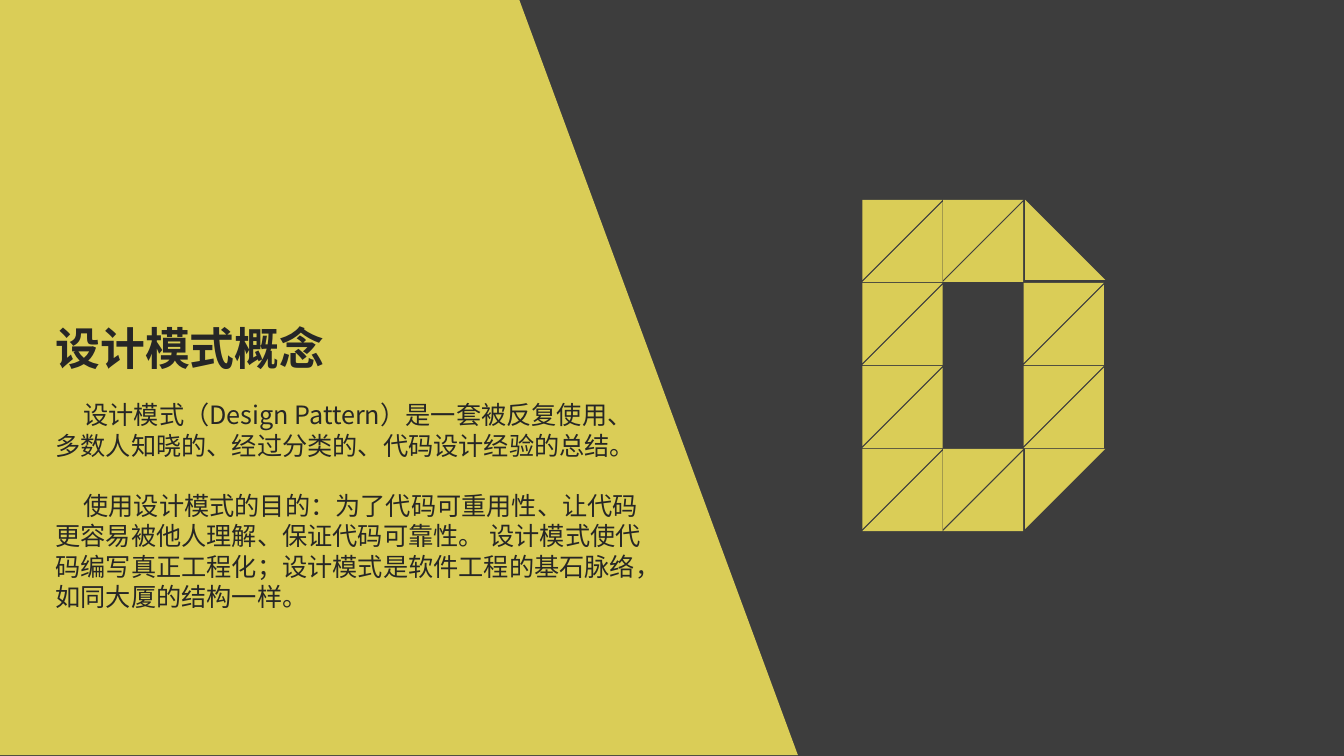
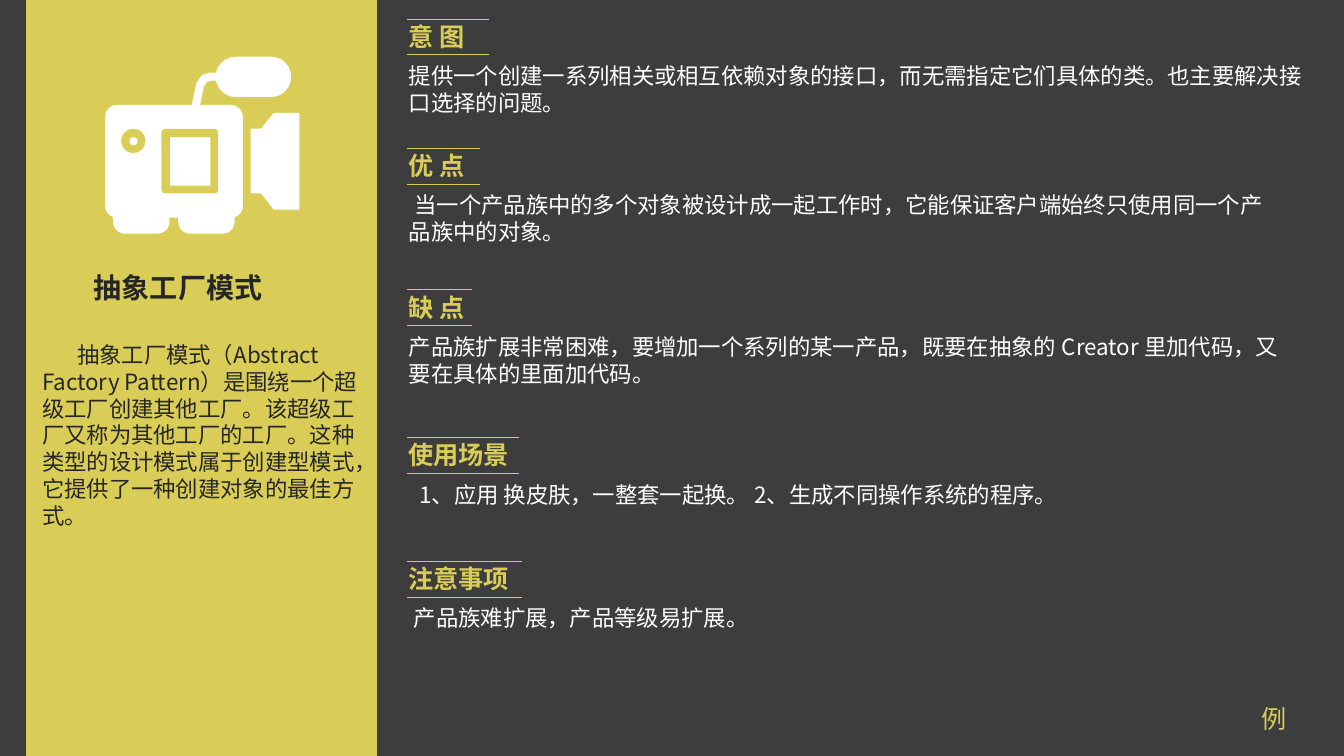
import pptx
import pptx.util
import pptx.dml.color
import pptx.enum.shapes
import pptx.oxml
import pptx.oxml.ns

Pt = pptx.util.Pt
SHAPE = pptx.enum.shapes.MSO_SHAPE
COLORS = {"back": "3D3D3D", "accent": "DACD57", "ink": "262626", "white": "FFFFFF"}
FONT = "Noto Sans CJK SC"
FONT_KR = "Noto Sans CJK KR"
LEADING = 1.2  # line height as a multiple of the text size

# Heading top, heading, rule width, body width, first-line indent, body
SECTIONS = [
    (11.5, "意 图", 58, 655, 0,
     "提供一个创建一系列相关或相互依赖对象的接口，而无需指定它们具体的类。也主要解决接口选择的问题。"),
    (104, "优 点", 52, 640, 4,
     "当一个产品族中的多个对象被设计成一起工作时，它能保证客户端始终只使用同一个产品族中的对象。"),
    (205, "缺 点", 46, 640, 0,
     "产品族扩展非常困难，要增加一个系列的某一产品，既要在抽象的 Creator 里加代码，又要在具体的里面加代码。"),
    (310.5, "使用场景", 80, 634, 7.5,
     "1、应用 换皮肤，一整套一起换。 2、生成不同操作系统的程序。"),
    (399, "注意事项", 82, 634, 3.5, "产品族难扩展，产品等级易扩展。"),
]


def rgb(name):
    return pptx.dml.color.RGBColor.from_string(COLORS[name])


def add_slide(prs):
    s = prs.slides.add_slide(prs.slide_layouts[6])
    s.background.fill.solid()
    s.background.fill.fore_color.rgb = rgb("back")
    return s


def paint(sp, color):
    sp.shadow.inherit = False
    sp.fill.solid()
    sp.fill.fore_color.rgb = rgb(color)
    sp.line.fill.background()


def add_shape(s, kind, x, y, w, h, color, rotation=0, radius=None):
    sp = s.shapes.add_shape(kind, Pt(x), Pt(y), Pt(w), Pt(h))
    sp.rotation = rotation
    if radius is not None:
        sp.adjustments[0] = radius / min(w, h)
    paint(sp, color)
    return sp


def add_outline(s, points, color, stroke=None):
    """Filled polygon, or an open thick line when a stroke width is given."""
    points = [(Pt(x), Pt(y)) for x, y in points]
    fb = s.shapes.build_freeform(*points[0])
    fb.add_line_segments(points[1:], close=stroke is None)
    sp = fb.convert_to_shape()
    paint(sp, color)
    if stroke:
        sp.fill.background()
        sp.line.color.rgb = rgb(color)
        sp.line.width = Pt(stroke)


def add_rule(s, x, y, w):
    c = s.shapes.add_connector(pptx.enum.shapes.MSO_CONNECTOR.STRAIGHT,
                               Pt(x), Pt(y), Pt(x + w), Pt(y))
    c.line.color.rgb = rgb("accent")
    c.line.width = Pt(0.5)
    pptx.oxml.ns.qn("a:effectLst")
    c._element.spPr.append(pptx.oxml.parse_xml(
        "<a:effectLst %s/>" % pptx.oxml.ns.nsdecls("a")))


def add_text(s, x, y, w, h, paragraphs, size, color, bold=False, indent=0,
             gap=0, font=FONT_KR):
    tf = s.shapes.add_textbox(Pt(x), Pt(y), Pt(w), Pt(h)).text_frame
    tf.word_wrap = True
    for i, text in enumerate(paragraphs):
        p = tf.add_paragraph() if i else tf.paragraphs[0]
        p.line_spacing = Pt(size * LEADING)
        p.space_before = Pt(gap if i else 0)
        p._p.get_or_add_pPr().set("indent", str(Pt(indent)))
        r = p.add_run()
        r.text = text
        r.font.size = Pt(size)
        r.font.bold = bold
        r.font.color.rgb = rgb(color)
        r.font.name = font
        r._r.get_or_add_rPr().append(pptx.oxml.parse_xml(
            '<a:ea %s typeface="%s"/>' % (pptx.oxml.ns.nsdecls("a"), font)))


def add_letter_d(s):
    """Letter D of tiles, each made of two right triangles."""
    x0, y0, side, step_x, step_y, slit = 616, 142.7, 57.3, 57.6, 59.3, 1.4

    def triangle(x, y, rotation):
        add_shape(s, SHAPE.RIGHT_TRIANGLE, x, y, side, side, "accent", rotation)

    tiles = [(0, 0), (1, 0), (0, 1), (2, 1), (0, 2), (2, 2), (0, 3), (1, 3)]
    for col, row in tiles:
        x, y = x0 + col * step_x, y0 + row * step_y
        triangle(x, y + slit, 270)
        triangle(x, y, 90)
    # Bevelled corners
    corner_x = x0 + 2 * step_x + 1
    triangle(corner_x, y0, 0)
    triangle(corner_x, y0 + 3 * step_y, 90)


def add_camera(s):
    rounded = SHAPE.ROUNDED_RECTANGLE
    # Viewfinder and its arm
    add_outline(s, [(139.5, 77), (143, 60.5), (146, 56), (150.5, 54.7), (160, 54.7)],
                "white", stroke=5.8)
    add_shape(s, rounded, 154, 40.5, 54, 28.8, "white", radius=14.4)
    # Body and feet
    add_shape(s, rounded, 75, 75, 98.5, 80.5, "white", radius=8.6)
    for x in (80.8, 127.3):
        add_shape(s, rounded, x, 137, 40.3, 30, "white", radius=8.6)
    # Lens
    add_outline(s, [(179, 92), (186.5, 92), (195.5, 80.7), (213.8, 80.7),
                    (213.8, 149.7), (195.5, 149.7), (186.5, 138.2), (179, 138.2)],
                "white")
    # Knob and screen
    add_shape(s, SHAPE.OVAL, 86.6, 92, 17.3, 17.3, "accent")
    add_shape(s, SHAPE.OVAL, 92.5, 98, 5.8, 5.8, "white")
    add_shape(s, rounded, 115.3, 92, 40.5, 46.2, "accent", radius=2.9)
    add_shape(s, SHAPE.RECTANGLE, 121.5, 98, 28.8, 34.6, "white")


def add_section(s, y, heading, rule_w, body_w, indent, body):
    add_text(s, 284.6, y, 242, 29, [heading], 18, "accent", bold=True)
    for rule_y in (y + 2, y + 27.7):
        add_rule(s, 291, rule_y, rule_w)
    add_text(s, 285, y + 29.3, body_w, 46, [body], 16, "white", indent=indent)


def concept_slide(prs):
    s = add_slide(prs)
    add_outline(s, [(0, 0), (371, 0), (570, 539.5), (0, 539.5)], "accent")
    add_text(s, 32.5, 225.5, 363, 45.5, ["设计模式概念"], 32, "ink", bold=True, font=FONT)
    add_text(s, 32.5, 282, 433.5, 158.5, [
        "设计模式（Design Pattern）是一套被反复使用、多数人知晓的、经过分类的、代码设计经验的总结。",
        "使用设计模式的目的：为了代码可重用性、让代码更容易被他人理解、保证代码可靠性。 "
        "设计模式使代码编写真正工程化；设计模式是软件工程的基石脉络，如同大厦的结构一样。",
    ], 18, "ink", indent=20, gap=21.6, font=FONT)
    add_letter_d(s)


def factory_slide(prs):
    s = add_slide(prs)
    # Side panel
    add_shape(s, SHAPE.RECTANGLE, 18.7, 0, 250.5, 540, "accent")
    add_camera(s)
    add_text(s, 60, 189.5, 172, 32, ["抽象工厂模式"], 20, "ink", bold=True)
    add_text(s, 23, 240, 240.5, 145.5, [
        "抽象工厂模式（Abstract Factory Pattern）是围绕一个超级工厂创建其他工厂。"
        "该超级工厂又称为其他工厂的工厂。这种类型的设计模式属于创建型模式，"
        "它提供了一种创建对象的最佳方式。",
    ], 16, "ink", indent=25)
    # Sections
    for section in SECTIONS:
        add_section(s, *section)
    add_text(s, 894, 499, 40, 29, ["例"], 18, "accent", font="Arial")


def main():
    prs = pptx.Presentation()
    prs.slide_width, prs.slide_height = Pt(960), Pt(540)
    concept_slide(prs)
    factory_slide(prs)
    prs.save("out.pptx")


if __name__ == "__main__":
    main()
